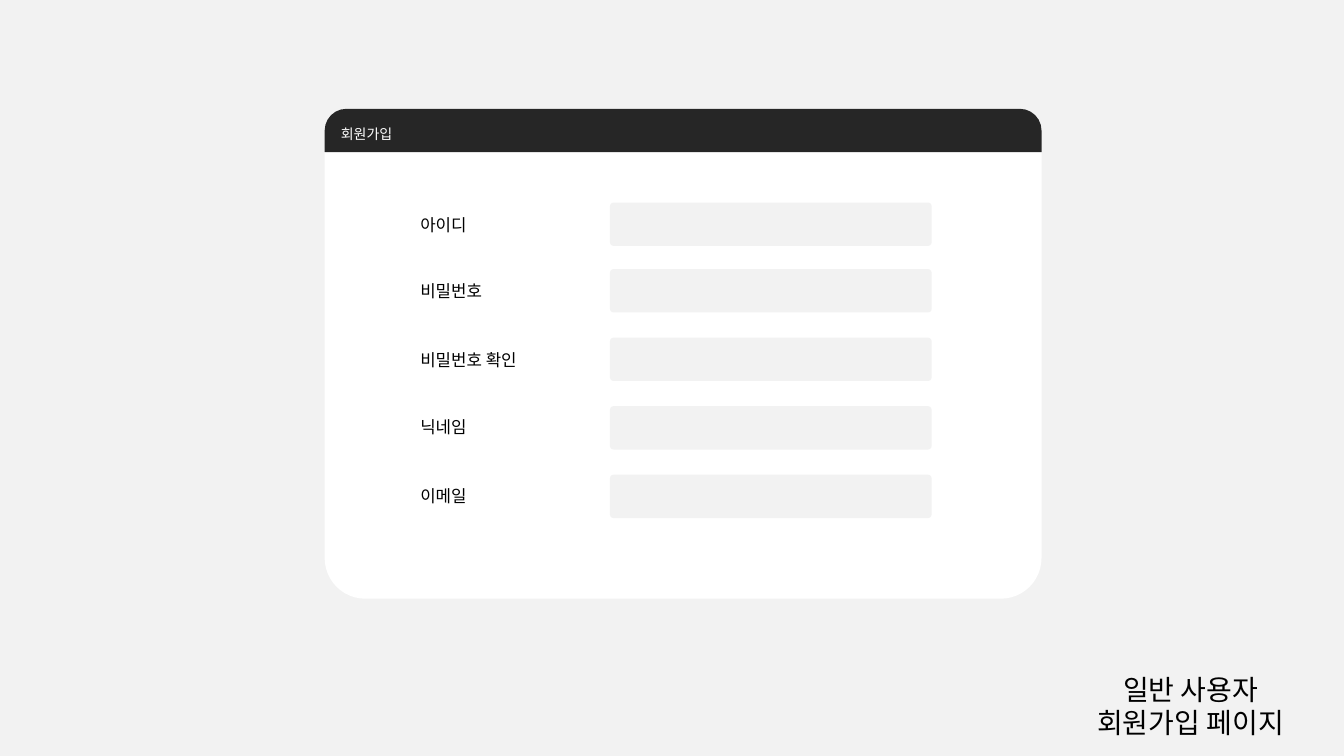
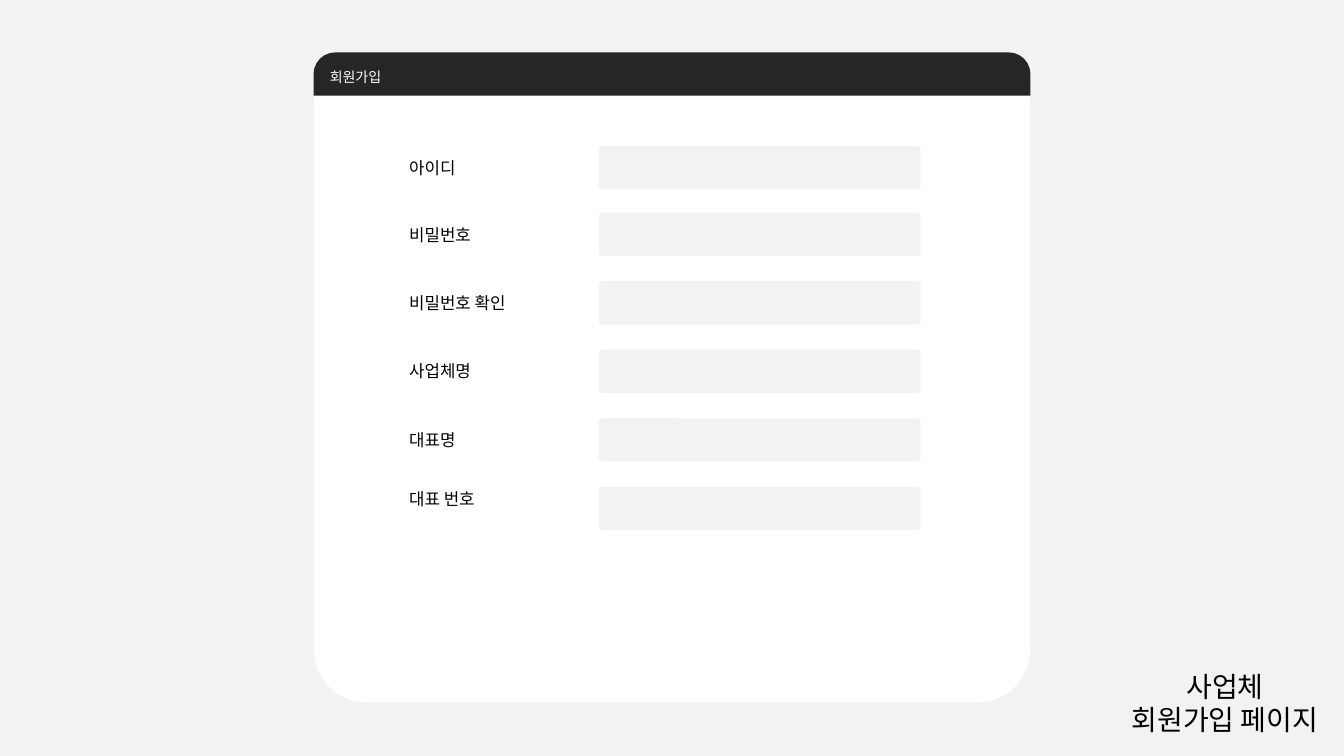
"""Build two sign-up page wireframes."""
from lxml.etree import SubElement
from pptx import Presentation
from pptx.dml.color import RGBColor
from pptx.enum.shapes import MSO_SHAPE
from pptx.enum.text import MSO_ANCHOR, MSO_AUTO_SIZE, PP_ALIGN
from pptx.oxml.ns import qn
from pptx.util import Inches, Pt

FONT = "Noto Sans CJK KR"
GREY = RGBColor(0xF2, 0xF2, 0xF2)
DARK = RGBColor(0x26, 0x26, 0x26)
WHITE = RGBColor(0xFF, 0xFF, 0xFF)
BLACK = RGBColor(0x00, 0x00, 0x00)

CARD_W, BAR_H = 7.11, 0.43
FIELD_X, FIELD_W = 2.83, 3.19
LABEL_X, LABEL_W, LABEL_H = 0.85, 1.44, 0.3
TITLE_W, TITLE_H = 2.3, 0.77
ROWS = [(0.93, 1.0), (1.59, 1.66), (2.27, 2.34),
        (2.95, 3.01), (3.63, 3.69), (4.31, 4.28)]

PAGES = [
    {"left": 3.22, "top": 1.08, "height": 4.86,
     "labels": ["아이디", "비밀번호", "비밀번호 확인", "닉네임", "이메일"],
     "title": ["일반 사용자", "회원가입 페이지"], "mid": 11.81, "base": 6.62},
    {"left": 3.11, "top": 0.52, "height": 6.45,
     "labels": ["아이디", "비밀번호", "비밀번호 확인", "사업체명", "대표명", "대표 번호"],
     "title": ["사업체", "회원가입 페이지"], "mid": 12.15, "base": 6.59},
]


def add_box(slide, kind, left, top, width, height, fill, bends):
    box = slide.shapes.add_shape(
        kind, Inches(left), Inches(top), Inches(width), Inches(height))
    box.shadow.inherit = False
    box.fill.solid()
    box.fill.fore_color.rgb = fill
    box.line.fill.background()
    for i, bend in enumerate(bends):
        box.adjustments[i] = bend
    return box


def write(frame, lines, size, color, align, anchor):
    frame.word_wrap = True
    frame.auto_size = MSO_AUTO_SIZE.NONE
    frame.vertical_anchor = anchor
    for i, line in enumerate(lines):
        para = frame.paragraphs[0] if i == 0 else frame.add_paragraph()
        para.alignment = align
        para.line_spacing = Pt(size * 1.2)
        run = para.add_run()
        run.text = line
        run.font.size = Pt(size)
        run.font.color.rgb = color
        run.font.name = FONT
        SubElement(run.font._element, qn("a:ea"), typeface=FONT)


prs = Presentation()
prs.slide_width = Inches(13.33)
prs.slide_height = Inches(7.5)
back = prs.slide_master.background.fill
back.solid()
back.fore_color.rgb = GREY

for page in PAGES:
    slide = prs.slides.add_slide(prs.slide_layouts[5])
    left, top = page["left"], page["top"]

    add_box(slide, MSO_SHAPE.ROUNDED_RECTANGLE, left, top,
            CARD_W, page["height"], WHITE, [0.083])
    bar = add_box(slide, MSO_SHAPE.ROUND_2_SAME_RECTANGLE, left, top,
                  CARD_W, BAR_H, DARK, [0.5, 0])
    write(bar.text_frame, ["회원가입"], 10, WHITE, PP_ALIGN.LEFT, MSO_ANCHOR.MIDDLE)

    for name, (field_y, label_y) in zip(page["labels"], ROWS):
        add_box(slide, MSO_SHAPE.ROUNDED_RECTANGLE, left + FIELD_X, top + field_y,
                FIELD_W, BAR_H, GREY, [0.083])
        label = slide.shapes.add_textbox(
            Inches(left + LABEL_X), Inches(top + label_y),
            Inches(LABEL_W), Inches(LABEL_H))
        write(label.text_frame, [name], 12, BLACK, PP_ALIGN.LEFT, MSO_ANCHOR.TOP)

    title = slide.shapes.title
    title.left, title.top = Inches(page["mid"] - TITLE_W / 2), Inches(page["base"])
    title.width, title.height = Inches(TITLE_W), Inches(TITLE_H)
    write(title.text_frame, page["title"], 20, BLACK, PP_ALIGN.CENTER, MSO_ANCHOR.TOP)

prs.save("out.pptx")
